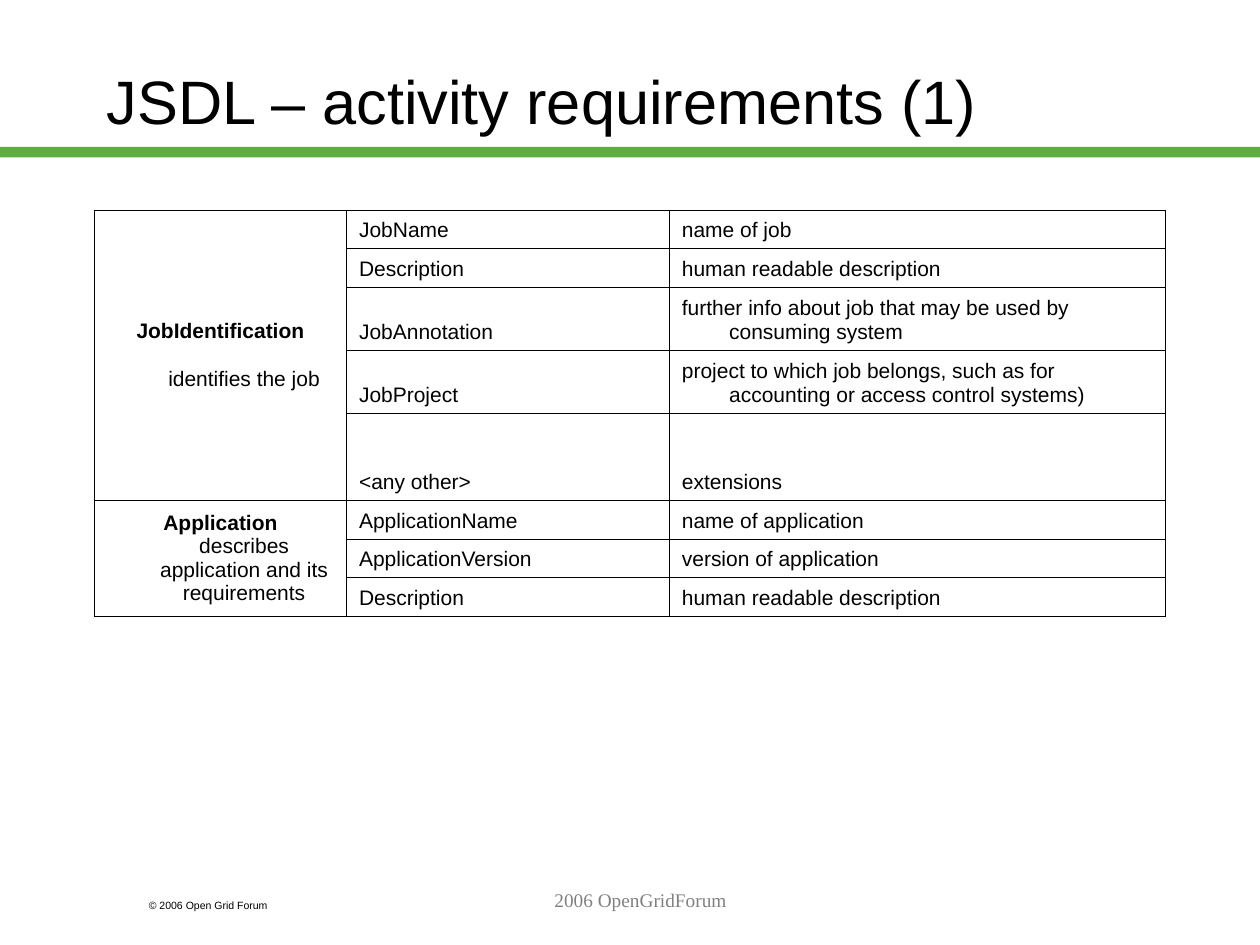
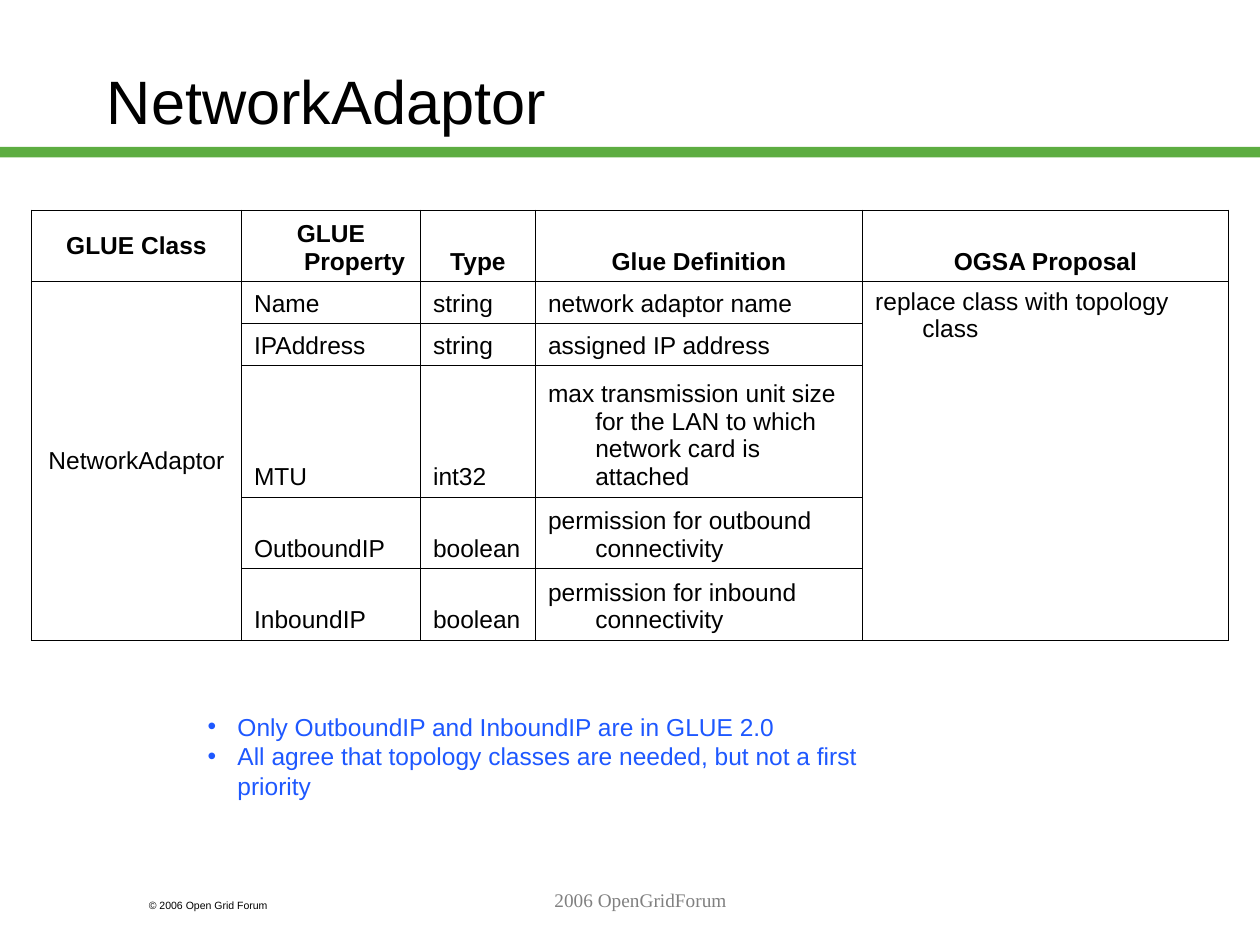
from dataclasses import dataclass

from lxml.etree import SubElement
from pptx import Presentation
from pptx.dml.color import RGBColor
from pptx.enum.shapes import MSO_SHAPE
from pptx.enum.text import MSO_ANCHOR, PP_ALIGN
from pptx.oxml import parse_xml
from pptx.oxml.ns import nsdecls, qn
from pptx.util import Pt

# In a table, None continues the cell above it.
# A tuple holds a bold heading, its description and the gap between them.
REQUIREMENTS = {
    "title": "JSDL – activity requirements (1)",
    "left": 54,
    "columns": [144, 184.5, 283.5],
    "heights": [22, 22, 36, 36, 50, 22, 22, 22],
    "text_size": 12,
    "header": False,
    "rows": [
        [("JobIdentification", "identifies the job", 14), "JobName", "name of job"],
        [None, "Description", "human readable description"],
        [None, "JobAnnotation", "further info about job that may be used by consuming system"],
        [None, "JobProject",
         "project to which job belongs, such as for accounting or access control systems)"],
        [None, "<any other>", "extensions"],
        [("Application", "describes application and its requirements", 0),
         "ApplicationName", "name of application"],
        [None, "ApplicationVersion", "version of application"],
        [None, "Description", "human readable description"],
    ],
    "bullets": [],
}
NETWORK_ADAPTOR = {
    "title": "NetworkAdaptor",
    "left": 18,
    "columns": [120, 102.3, 65.7, 187, 209],
    "heights": [41, 24, 24, 75, 41, 41],
    "text_size": 14,
    "header": True,
    "rows": [
        ["GLUE Class", "GLUE Property", "Type", "Glue Definition", "OGSA Proposal"],
        ["NetworkAdaptor", "Name", "string", "network adaptor name",
         "replace class with topology class"],
        [None, "IPAddress", "string", "assigned IP address", None],
        [None, "MTU", "int32",
         "max transmission unit size for the LAN to which network card is attached", None],
        [None, "OutboundIP", "boolean", "permission for outbound connectivity", None],
        [None, "InboundIP", "boolean", "permission for inbound connectivity", None],
    ],
    "bullets": [
        "Only OutboundIP and InboundIP are in GLUE 2.0",
        "All agree that topology classes are needed, but not a first priority",
    ],
}
COPYRIGHT = "© 2006 Open Grid Forum"
FOOTER = "2006 OpenGridForum"


@dataclass(frozen=True)
class Theme:
    sans: str = "Arial"
    serif: str = "Times New Roman"
    ink: str = "000000"
    band: str = "5DAD41"
    note: str = "1E58FF"
    muted: str = "808080"
    title_size: float = 35
    note_size: float = 14
    footer_size: float = 11
    copyright_size: float = 6
    border: float = 0.45
    hanging: float = 27
    bullet_indent: float = 17
    table_top: float = 120


THEME = Theme()


def format_runs(paragraph, size, color=THEME.ink, name=THEME.sans, bold=False):
    for run in paragraph.runs:
        font = run.font
        font.name, font.size, font.bold = name, Pt(size), bold
        font.color.rgb = RGBColor.from_string(color)


def set_indent(paragraph, left, first_line):
    properties = paragraph._p.get_or_add_pPr()
    properties.set("marL", str(Pt(left)))
    properties.set("indent", str(Pt(first_line)))
    return properties


def add_text(slide, box, lines, size, align=PP_ALIGN.LEFT, anchor=MSO_ANCHOR.TOP, **font):
    text_frame = slide.shapes.add_textbox(*map(Pt, box)).text_frame
    text_frame.word_wrap = True
    text_frame.vertical_anchor = anchor
    text_frame.text = "\n".join(lines)
    for paragraph in text_frame.paragraphs:
        paragraph.alignment = align
        format_runs(paragraph, size, **font)
    return text_frame


def add_frame(slide, title):
    """Add the band, title and footers that every slide has."""
    band = slide.shapes.add_shape(MSO_SHAPE.RECTANGLE, Pt(0), Pt(84), Pt(720), Pt(6))
    band.shadow.inherit = False
    band.fill.solid()
    band.fill.fore_color.rgb = RGBColor.from_string(THEME.band)
    band.line.fill.background()
    add_text(slide, (78, 510, 108, 14.4), [COPYRIGHT], THEME.copyright_size)
    add_text(slide, (54, 12, 612, 90), [title], THEME.title_size, anchor=MSO_ANCHOR.MIDDLE)
    add_text(slide, (156, 504, 420, 36), [FOOTER], THEME.footer_size,
             align=PP_ALIGN.CENTER, color=THEME.muted, name=THEME.serif)


def add_borders(cell):
    properties = cell._tc.get_or_add_tcPr()
    for position, side in enumerate("LRTB"):
        properties.insert(position, parse_xml(
            f'<a:ln{side} {nsdecls("a")} w="{Pt(THEME.border)}"><a:solidFill>'
            f'<a:srgbClr val="{THEME.ink}"/></a:solidFill></a:ln{side}>'))


def fill_cell(cell, content, size, centred, bold):
    heading, description, gap = content if isinstance(content, tuple) else (content, None, 0)
    text_frame = cell.text_frame
    text_frame.text = heading
    if description:
        paragraph = text_frame.add_paragraph()
        paragraph.text = description
        paragraph.space_before = Pt(gap)
    for index, paragraph in enumerate(text_frame.paragraphs):
        first = index == 0
        paragraph.alignment = PP_ALIGN.CENTER if centred else PP_ALIGN.LEFT
        set_indent(paragraph, THEME.hanging, -THEME.hanging if first else 0)
        format_runs(paragraph, size, bold=first and (bold or description is not None))


def add_grid(slide, content):
    rows, columns, heights = content["rows"], content["columns"], content["heights"]
    table = slide.shapes.add_table(
        len(rows), len(columns), Pt(content["left"]), Pt(THEME.table_top),
        Pt(sum(columns)), Pt(sum(heights))).table
    table.first_row = table.horz_banding = False
    for column, width in zip(table.columns, columns):
        column.width = Pt(width)
    for row, height in zip(table.rows, heights):
        row.height = Pt(height)

    for r, row in enumerate(rows):
        for c, value in enumerate(row):
            cell = table.cell(r, c)
            cell.fill.background()
            add_borders(cell)
            if value is None:
                continue
            last = r
            while last + 1 < len(rows) and rows[last + 1][c] is None:
                last += 1
            if last > r:
                cell.merge(table.cell(last, c))
            if c == 0:
                cell.vertical_anchor = MSO_ANCHOR.MIDDLE
            else:
                cell.vertical_anchor = MSO_ANCHOR.TOP if last > r else MSO_ANCHOR.BOTTOM
            is_header = content["header"] and r == 0
            fill_cell(cell, value, content["text_size"], c == 0 or is_header, is_header)


def add_notes_list(slide, bullets):
    text_frame = add_text(slide, (111.6, 403.2, 423.4, 56), bullets,
                          THEME.note_size, color=THEME.note)
    for paragraph in text_frame.paragraphs:
        properties = set_indent(paragraph, THEME.bullet_indent, -THEME.bullet_indent)
        bullet_color = SubElement(properties, qn("a:buClr"))
        SubElement(bullet_color, qn("a:srgbClr"), val=THEME.note)
        SubElement(properties, qn("a:buFont"), typeface=THEME.sans)
        SubElement(properties, qn("a:buChar"), char="•")


def main():
    presentation = Presentation()
    presentation.slide_width, presentation.slide_height = Pt(720), Pt(540)
    for content in (REQUIREMENTS, NETWORK_ADAPTOR):
        slide = presentation.slides.add_slide(presentation.slide_layouts[6])
        add_frame(slide, content["title"])
        add_grid(slide, content)
        if content["bullets"]:
            add_notes_list(slide, content["bullets"])
    presentation.save("out.pptx")


if __name__ == "__main__":
    main()
